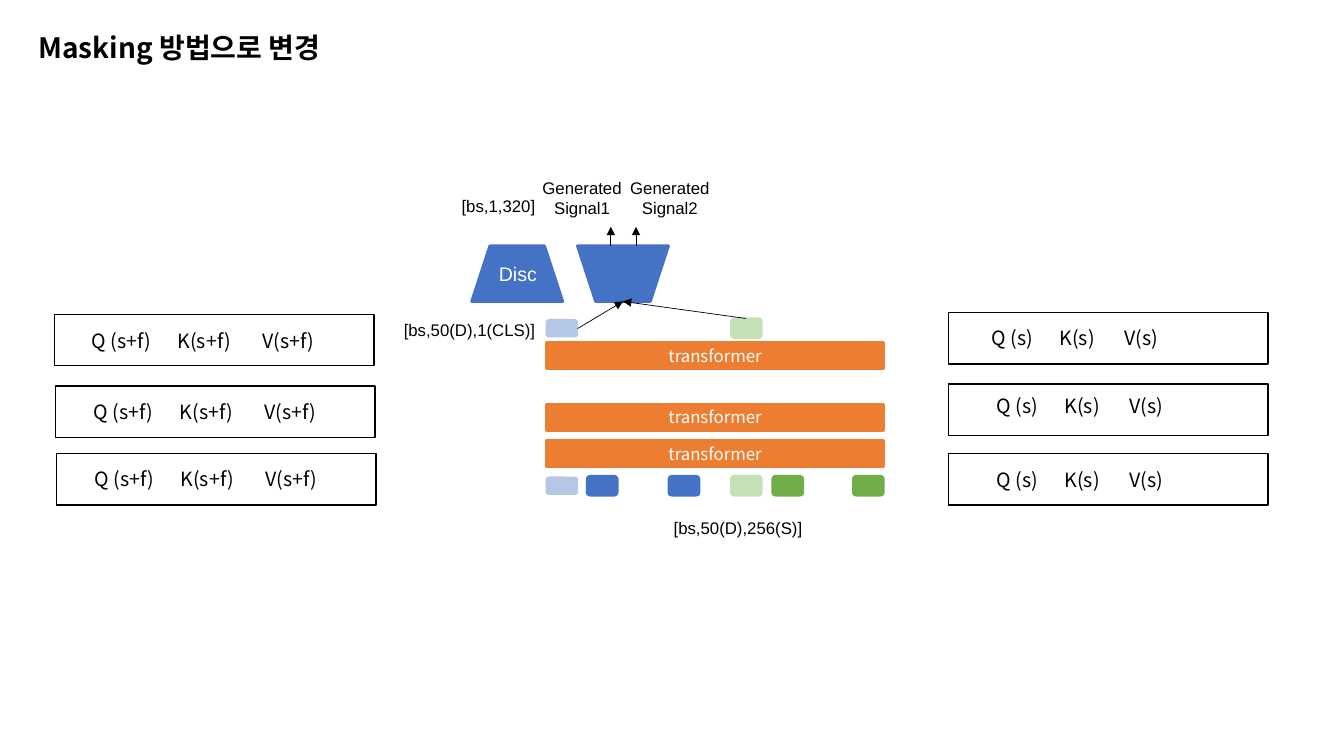
from lxml import etree
from pptx import Presentation
from pptx.dml.color import RGBColor
from pptx.enum.shapes import MSO_CONNECTOR as Link, MSO_SHAPE as Form
from pptx.enum.text import MSO_ANCHOR as Anchor, MSO_AUTO_SIZE as Fit, PP_ALIGN as Align
from pptx.oxml.ns import qn
from pptx.util import Pt

THEME = {
    "black": "000000", "white": "FFFFFF", "orange": "ED7D31",
    "blue": "4472C4", "pale blue": "B4C7E7",
    "green": "70AD47", "pale green": "C5E0B4",
    "sans": "Arial", "korean": "Noto Sans CJK KR",
    "title": 20, "body": 14, "label": 12,
}

TITLE = "Masking 방법으로 변경"

# Network: left edge and width of the layers, then the top of each layer
LAYER = "transformer"
LAYER_X, LAYER_W, LAYER_H = 390.2, 241.2, 18.7
LAYER_TOPS = [314.6, 288.7, 244.8]

# Tokens: colour, left, middle height
IN_Y, OUT_Y = 347, 234.5
TOKENS = [
    ("pale blue", 390.2, IN_Y), ("blue", 419, IN_Y), ("blue", 477.4, IN_Y),
    ("pale green", 522, IN_Y), ("green", 551.5, IN_Y), ("green", 609.1, IN_Y),
    ("pale blue", 390.2, OUT_Y), ("pale green", 522, OUT_Y),
]
TOKEN_W = 22.3
TOKEN_H = {"pale blue": 12.2}

# Heads: left, rotation
HEADS = [(412.6, 0), (337, 180)]
HEAD_Y, HEAD_W, HEAD_H = 175.7, 64.8, 39.6
HEAD_MID = (445, HEAD_Y + HEAD_H)

ARROWS = [
    ((412.6, 234.7), HEAD_MID),
    ((532.8, 227.5), HEAD_MID),
    ((436.3, HEAD_Y), (436.3, 162)),
    ((454.3, HEAD_Y), (454.3, 162)),
]

# Labels: lines, box, alignment, size, colour
LABELS = [
    (["Generated", "Signal1"], (378.7, 123.1, 74.2, 36), Align.CENTER, "label", "black"),
    (["Generated", "Signal2"], (441.4, 123.1, 74.2, 36), Align.CENTER, "label", "black"),
    (["Disc"], (349.2, 183.6, 59, 24.5), Align.LEFT, "body", "white"),
    (["[bs,50(D),1(CLS)]"], (280.1, 224.6, 109.4, 21.6), Align.RIGHT, "label", "black"),
    (["[bs,1,320]"], (280.1, 136.1, 109.4, 21.6), Align.RIGHT, "label", "black"),
    (["[bs,50(D),256(S)]"], (470.9, 366.5, 109.4, 21.6), Align.RIGHT, "label", "black"),
]

# Attention inputs: words, tab stops, (frame corner, text corner) of each row
INPUTS = [
    ("Q (s+f)\tK(s+f)\tV(s+f)", (61.5, 122),
     [((40.3, 324), (60.5, 329.8)),
      ((39.6, 275.8), (59.8, 282.2)),
      ((38.9, 224.6), (58.3, 231.1))]),
    ("Q (s)\tK(s)\tV(s)", (48.5, 95),
     [((677.5, 324), (704.9, 330.5)),
      ((677.5, 274.3), (704.9, 277.9)),
      ((677.5, 223.2), (701.3, 229))]),
]
FRAME = (228.2, 36.7)
WORDS = (252, 24.5)


def tint(name):
    return RGBColor.from_string(THEME[name])


def write(para, text, face, size, color, bold=False):
    run = para.add_run()
    run.text = text
    font = run.font
    font.name, font.size, font.bold = THEME[face], Pt(THEME[size]), bold
    font.color.rgb = tint(color)
    east = etree.SubElement(run._r.get_or_add_rPr(), qn("a:ea"))
    east.set("typeface", THEME[face])


def draw(slide, form, box, fill, line, width):
    shape = slide.shapes.add_shape(form, *map(Pt, box))
    shape.shadow.inherit = False
    if fill:
        shape.fill.solid()
        shape.fill.fore_color.rgb = tint(fill)
    else:
        shape.fill.background()
    shape.line.color.rgb = tint(line)
    shape.line.width = Pt(width)
    return shape


def label(slide, lines, box, align, face, size, color, stops=()):
    frame = slide.shapes.add_textbox(*map(Pt, box)).text_frame
    frame.word_wrap = True
    frame.auto_size = Fit.SHAPE_TO_FIT_TEXT
    for i, text in enumerate(lines):
        para = frame.add_paragraph() if i else frame.paragraphs[0]
        para.alignment = align
        if stops:
            tabs = etree.SubElement(para._p.get_or_add_pPr(), qn("a:tabLst"))
            for stop in stops:
                etree.SubElement(tabs, qn("a:tab"), pos=str(int(Pt(stop))), algn="l")
        write(para, text, face, size, color)


def arrow(slide, start, end):
    link = slide.shapes.add_connector(Link.STRAIGHT, *map(Pt, start + end))
    link.line.color.rgb = tint("black")
    link.line.width = Pt(0.5)
    etree.SubElement(link.line._get_or_add_ln(), qn("a:tailEnd"), type="triangle")
    etree.SubElement(link._element.spPr, qn("a:effectLst"))


def head(slide):
    title = slide.shapes.title
    title.left, title.top, title.width, title.height = map(Pt, (20.2, -16.6, 828, 104.4))
    title.text_frame.vertical_anchor = Anchor.MIDDLE
    para = title.text_frame.paragraphs[0]
    para.alignment, para.line_spacing = Align.LEFT, 0.9
    write(para, TITLE, "korean", "title", "black", True)


def network(slide):
    for top in LAYER_TOPS:
        box = (LAYER_X, top, LAYER_W, LAYER_H)
        layer = draw(slide, Form.RECTANGLE, box, "orange", "orange", 2.25)
        layer.text_frame.vertical_anchor = Anchor.MIDDLE
        para = layer.text_frame.paragraphs[0]
        para.alignment = Align.CENTER
        write(para, LAYER, "korean", "label", "white")
    for color, left, mid in TOKENS:
        high = TOKEN_H.get(color, 14.4)
        box = (left, mid - high / 2, TOKEN_W, high)
        draw(slide, Form.ROUNDED_RECTANGLE, box, color, color, 1)
    for left, turn in HEADS:
        box = (left, HEAD_Y, HEAD_W, HEAD_H)
        shape = draw(slide, Form.FLOWCHART_MANUAL_OPERATION, box, "blue", "blue", 2.25)
        shape.rotation = turn
    for start, end in ARROWS:
        arrow(slide, start, end)
    for lines, box, align, size, color in LABELS:
        label(slide, lines, box, align, "sans", size, color)


def inputs(slide):
    for text, stops, rows in INPUTS:
        for frame, words in rows:
            draw(slide, Form.RECTANGLE, frame + FRAME, None, "black", 1)
            label(slide, [text], words + WORDS, Align.LEFT,
                  "korean", "body", "black", stops)


def main():
    deck = Presentation()
    deck.slide_width, deck.slide_height = Pt(960), Pt(540)
    slide = deck.slides.add_slide(deck.slide_layouts[5])
    head(slide)
    network(slide)
    inputs(slide)
    deck.save("out.pptx")


if __name__ == "__main__":
    main()
